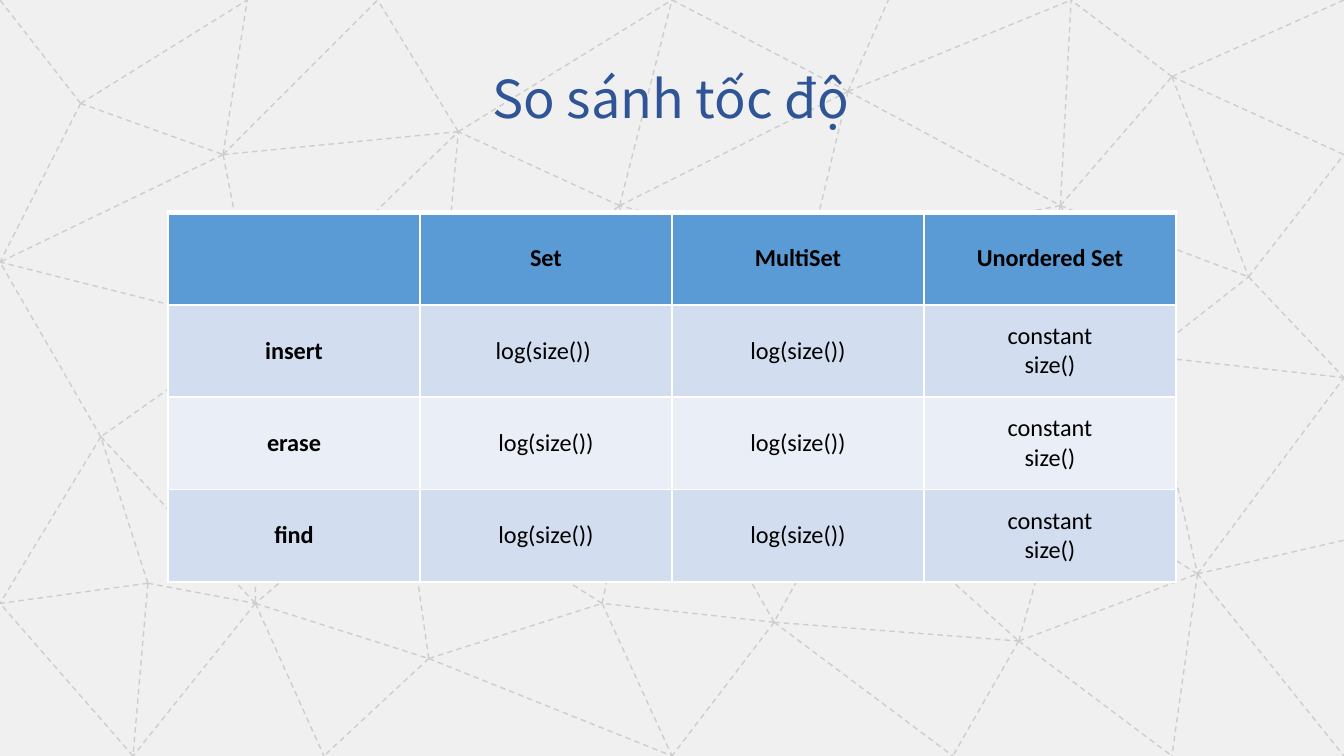
from lxml import etree
from pptx import Presentation
from pptx.dml.color import RGBColor
from pptx.enum.dml import MSO_LINE
from pptx.enum.shapes import MSO_CONNECTOR
from pptx.enum.text import MSO_ANCHOR, MSO_AUTO_SIZE, PP_ALIGN
from pptx.oxml.ns import qn
from pptx.util import Inches, Pt

STRAIGHT = MSO_CONNECTOR.STRAIGHT
DASH = MSO_LINE.DASH
TOP, MIDDLE = MSO_ANCHOR.TOP, MSO_ANCHOR.MIDDLE
GROW = MSO_AUTO_SIZE.SHAPE_TO_FIT_TEXT
CENTER = PP_ALIGN.CENTER

PALE_GRAY = RGBColor(0xF0, 0xF0, 0xF0)
MESH_GRAY = RGBColor(0xCD, 0xCD, 0xCD)
TITLE_BLUE = RGBColor(0x2F, 0x55, 0x97)
HEADER_BLUE = RGBColor(0x5B, 0x9B, 0xD5)
BANDS = (RGBColor(0xEA, 0xEF, 0xF7), RGBColor(0xD2, 0xDE, 0xEF))
BLACK = RGBColor(0, 0, 0)
WHITE = RGBColor(0xFF, 0xFF, 0xFF)

WIDTH = 10
HEIGHT = WIDTH * 9 / 16
TABLE_LEFT, TABLE_TOP = WIDTH / 8, 1.58
COLUMN_WIDTH, ROW_HEIGHT = WIDTH * 3 / 16, HEIGHT * 11 / 90

NODES = {
    "A": (0, 0), "B": (1.84, 0), "C": (2.81, 0), "D": (5, 0),
    "E": (6.61, 0), "F": (7.97, 0), "G": (WIDTH, 0), "H": (0.6, 0.77),
    "I": (1.66, 1.15), "J": (3.41, 0.98), "K": (6.31, 0.68), "L": (8.72, 0.57),
    "M": (WIDTH, 1.15), "N": (4.61, 1.53), "O": (7.89, 1.53), "P": (0, 1.95),
    "Q": (6.02, 1.89), "R": (9.29, 2.06), "S": (1.91, 2.43), "T": (3.27, 2.57),
    "U": (4.8, 2.94), "V": (7.58, 2.69), "W": (8.54, 2.65), "X": (WIDTH, 2.81),
    "Y": (0.75, 3.25), "Z": (3, 3.55), "a": (6.31, 3.63), "b": (7.9, 3.64),
    "c": (WIDTH, 4.02), "d": (1.1, 4.34), "e": (0, 4.49), "f": (1.9, 4.49),
    "g": (4.48, 4.49), "h": (5.76, 4.63), "i": (7.58, 4.77), "j": (8.91, 4.27),
    "k": (3.19, 4.9), "l": (0.99, HEIGHT), "m": (2.41, HEIGHT), "n": (5, HEIGHT),
    "o": (7.09, HEIGHT), "p": (8.72, HEIGHT), "q": (WIDTH, HEIGHT),
}
LINKS = {
    "I": "BPCJS", "S": "JPTZfY", "T": "ZUJN", "Z": "fU", "Y": "fPe",
    "d": "eYfl", "f": "lkm", "l": "e", "k": "Zmgn", "g": "nZU",
    "N": "UJDK", "J": "CD", "D": "K", "K": "QEOF", "Q": "NUOVa",
    "U": "a", "a": "hVbi", "h": "gnUoi", "O": "VFLWR", "V": "bW",
    "i": "obpj", "W": "RbXj", "L": "FGMR", "R": "MX", "j": "bXqpc",
    "H": "BIPA",
}
ROWS = (
    ("", "Set", "MultiSet", "Unordered Set"),
    ("insert", "log(size()) ", "log(size())", "constant\nsize()"),
    ("erase", "log(size())", "log(size())", "constant\nsize()"),
    ("find", "log(size())", "log(size())", "constant\nsize()"),
)


def set_values(target, values):
    """Set each named attribute of the target."""
    for name, value in values.items():
        setattr(target, name, value)


def format_text(text_frame, font_format):
    """Center every paragraph and give it the font format."""
    for paragraph in text_frame.paragraphs:
        paragraph.alignment = CENTER
        for run in paragraph.runs:
            values = dict(font_format)
            run.font.color.rgb = values.pop("color")
            set_values(run.font, values)


def add_mesh(slide):
    """Draw the dashed mesh that links the nodes."""
    mesh = slide.shapes.add_group_shape()
    for start, ends in LINKS.items():
        for end in ends:
            points = [Inches(value) for value in NODES[start] + NODES[end]]
            connector = mesh.shapes.add_connector(STRAIGHT, *points)
            connector.line.color.rgb = MESH_GRAY
            set_values(connector.line, {"width": Pt(0.75), "dash_style": DASH})
            properties = connector.element.find(qn("p:spPr"))
            etree.SubElement(properties, qn("a:effectLst"))


def set_title(slide, text):
    """Fill the title placeholder and bring it in front of the mesh."""
    title = slide.shapes.title
    set_values(title, {"left": Inches(2.49), "top": Inches(0.21),
                       "width": Inches(5), "height": Inches(0.79)})
    frame = title.text_frame
    frame.text = text
    set_values(frame, {"word_wrap": True, "auto_size": GROW, "vertical_anchor": TOP})
    frame.paragraphs[0].line_spacing = 1.5
    format_text(frame, {"name": "Noto Sans CJK SC", "size": Pt(28), "color": TITLE_BLUE})
    slide.shapes.element.append(title.element)


def add_borders(cell, top_width):
    """Give the cell white borders, with its own width at the top."""
    properties = cell._tc.get_or_add_tcPr()
    widths = {"a:lnL": 1, "a:lnR": 1, "a:lnT": top_width, "a:lnB": 1}
    for tag, width in widths.items():
        border = etree.SubElement(properties, qn(tag), w=str(Pt(width)))
        fill = etree.SubElement(border, qn("a:solidFill"))
        etree.SubElement(fill, qn("a:srgbClr"), val=str(WHITE))


def add_speed_table(slide):
    """Add the table that compares the operations of each container."""
    row_count, column_count = len(ROWS), len(ROWS[0])
    frame = slide.shapes.add_table(
        row_count, column_count, Inches(TABLE_LEFT), Inches(TABLE_TOP),
        Inches(column_count * COLUMN_WIDTH), Inches(row_count * ROW_HEIGHT))
    for row, texts in enumerate(ROWS):
        for column, text in enumerate(texts):
            cell = frame.table.cell(row, column)
            cell.text = text
            cell.vertical_anchor = MIDDLE
            add_borders(cell, 1 if row else 3)
            cell.fill.solid()
            cell.fill.fore_color.rgb = BANDS[row % 2] if row else HEADER_BLUE
            format_text(cell.text_frame, {
                "name": "Calibri", "size": Pt(13), "color": BLACK,
                "bold": row == 0 or column == 0})


def main():
    """Build the slide and save it."""
    presentation = Presentation()
    set_values(presentation, {"slide_width": Inches(WIDTH),
                              "slide_height": Inches(HEIGHT)})
    slide = presentation.slides.add_slide(presentation.slide_layouts[5])
    slide.background.fill.solid()
    slide.background.fill.fore_color.rgb = PALE_GRAY
    add_mesh(slide)
    set_title(slide, "So sánh tốc độ")
    add_speed_table(slide)
    presentation.save("out.pptx")


if __name__ == "__main__":
    main()
